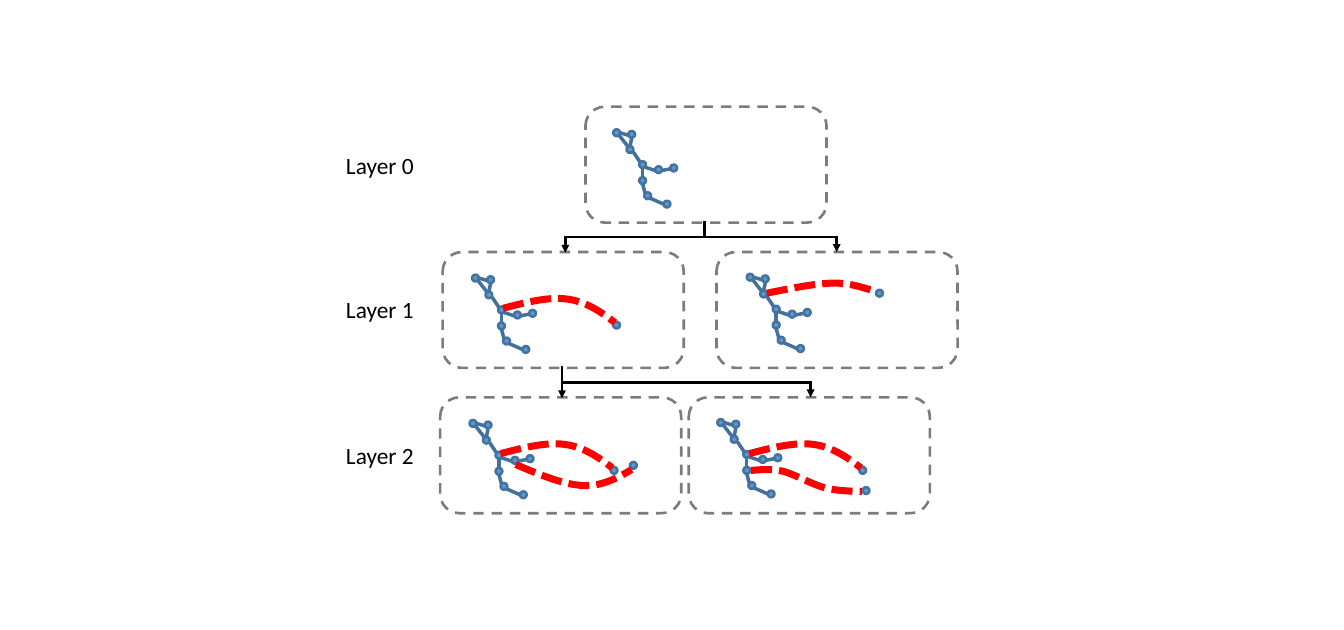
"""Draw a tree of skeleton graphs that grow by one dashed trail per layer."""
import dataclasses
import typing

import lxml.etree
import pptx
import pptx.dml.color
import pptx.dml.line
import pptx.enum.dml
import pptx.enum.shapes
import pptx.enum.text
import pptx.oxml.ns
import pptx.shapes.autoshape
import pptx.shapes.shapetree
import pptx.util

Point = tuple[int, int]
Shapes = typing.Union[pptx.shapes.shapetree.SlideShapes, pptx.shapes.shapetree.GroupShapes]

PX = pptx.util.Inches(1) // 100
SLIDE_SIZE = (1600, 750)
FRAME_SIZE = (287, 138)
LABEL_SIZE = (102, 44)
LABEL_LEFT = 402
NODE_SIZE = 8

BLACK, RED, GRAY = "000000", "FF0000", "7C7C7C"
NODE_FILL, NODE_EDGE, BONE = "5B9BD5", "43739E", "41719C"
DASH = pptx.enum.dml.MSO_LINE.DASH
SHORT_DASH = pptx.enum.dml.MSO_LINE.SQUARE_DOT

LABEL_FONT = {"name": "Calibri", "size": pptx.util.Pt(20)}
LABEL_FRAME = {
    "word_wrap": False,
    "auto_size": pptx.enum.text.MSO_AUTO_SIZE.SHAPE_TO_FIT_TEXT,
}

JOINTS = [(0, 0), (18, 2), (16, 20), (31, 38), (50, 44), (68, 42), (31, 57), (37, 75), (60, 85)]
BONES = [
    ((8, 4), (18, 7)), ((7, 7), (18, 21)), ((22, 11), (20, 20)),
    ((24, 27), (32, 39)), ((38, 45), (50, 49)), ((58, 49), (68, 47)),
    ((35, 47), (35, 57)), ((35, 65), (38, 76)), ((44, 82), (60, 89)),
]


@dataclasses.dataclass(frozen=True)
class Trail:
    """A Bezier trail: a start, then two controls and an anchor per piece, and its end node."""
    start: Point
    pieces: list[tuple[Point, Point, Point]]
    node: Point


@dataclasses.dataclass(frozen=True)
class Scene:
    """A dashed frame with a skeleton and the trails that leave it."""
    frame: Point
    skeleton: Point
    trails: list[Trail]


@dataclasses.dataclass(frozen=True)
class Link:
    """A straight piece of the tree between layers."""
    begin: Point
    end: Point
    arrow: bool = False


def arch(x: int, y: int) -> Trail:
    """Return the arched trail that starts at a point."""
    return Trail((x, y), [
        ((x + 27, y - 7), (x + 54, y - 14), (x + 76, y - 11)),
        ((x + 99, y - 8), (x + 116, y + 4), (x + 133, y + 17)),
    ], (x + 131, y + 16))


SCENES = [
    Scene((697, 127), (730, 154), []),
    Scene((527, 300), (562, 327), [arch(599, 367)]),
    Scene((853, 300), (889, 326), [Trail((913, 349), [
        ((943, 343), (972, 337), (994, 337)),
        ((1015, 337), (1035, 345), (1043, 347)),
    ], (1043, 345))]),
    Scene((524, 473), (559, 500), [arch(596, 540), Trail((614, 553), [
        ((642, 565), (671, 577), (694, 578)),
        ((717, 579), (735, 569), (752, 559)),
    ], (750, 550))]),
    Scene((820, 473), (854, 499), [arch(892, 540), Trail((894, 560), [
        ((906, 559), (918, 558), (932, 561)),
        ((947, 565), (967, 577), (983, 581)),
        ((998, 585), (1026, 585), (1026, 585)),
    ], (1027, 580))]),
]

LINKS = [
    Link((839, 263), (839, 282)),
    Link((671, 282), (997, 282)),
    Link((673, 282), (673, 301), arrow=True),
    Link((996, 281), (996, 300), arrow=True),
    Link((669, 436), (669, 456)),
    Link((668, 455), (967, 455)),
    Link((669, 456), (669, 474), arrow=True),
    Link((965, 455), (965, 473), arrow=True),
]

LABELS = {"Layer 0": 175, "Layer 1": 347, "Layer 2": 520}


def emu(*lengths: int) -> list[int]:
    """Turn px into EMU."""
    return [length * PX for length in lengths]


def rgb(value: str) -> pptx.dml.color.RGBColor:
    """Turn a hex string into a colour."""
    return pptx.dml.color.RGBColor.from_string(value)


def style_line(line: pptx.dml.line.LineFormat, color: str, width: float,
               dash: typing.Any = None) -> None:
    """Set the colour, width and dash of a line."""
    line.color.rgb = rgb(color)
    for name, value in {"width": pptx.util.Pt(width), "dash_style": dash}.items():
        setattr(line, name, value)


def draw_line(shapes: Shapes, link: Link, color: str, width: float) -> None:
    """Draw a straight line, with an arrowhead if asked."""
    connector = shapes.add_connector(
        pptx.enum.shapes.MSO_CONNECTOR.STRAIGHT, *emu(*link.begin, *link.end))
    style_line(connector.line, color, width)
    if link.arrow:
        lxml.etree.SubElement(
            connector.line._get_or_add_ln(), pptx.oxml.ns.qn("a:tailEnd"), type="triangle")
    lxml.etree.SubElement(connector._element.spPr, pptx.oxml.ns.qn("a:effectLst"))


def draw_node(shapes: Shapes, corner: Point) -> None:
    """Draw one round node."""
    node = shapes.add_shape(
        pptx.enum.shapes.MSO_SHAPE.OVAL, *emu(*corner, NODE_SIZE, NODE_SIZE))
    node.shadow.inherit = False
    node.fill.solid()
    node.fill.fore_color.rgb = rgb(NODE_FILL)
    style_line(node.line, NODE_EDGE, 2.25)


def draw_skeleton(shapes: Shapes, origin: Point) -> None:
    """Draw the joints and bones as one group."""
    def place(offset: Point) -> Point:
        return origin[0] + offset[0], origin[1] + offset[1]

    skeleton = shapes.add_group_shape()
    for joint in JOINTS:
        draw_node(skeleton.shapes, place(joint))
    for begin, end in BONES:
        draw_line(skeleton.shapes, Link(place(begin), place(end)), BONE, 3)


def draw_trail(shapes: Shapes, trail: Trail) -> None:
    """Draw the end node and the dashed curve through the anchors."""
    draw_node(shapes, trail.node)
    anchors = [piece[-1] for piece in trail.pieces]
    builder = shapes.build_freeform(*trail.start, scale=float(PX))
    builder.add_line_segments(anchors, close=False)
    curve = builder.convert_to_shape()
    left, top = (min(axis) for axis in zip(trail.start, *anchors))
    segments = list(curve._element.iter(pptx.oxml.ns.qn("a:lnTo")))
    for segment, piece in zip(segments, trail.pieces):
        bezier = lxml.etree.SubElement(segment.getparent(), pptx.oxml.ns.qn("a:cubicBezTo"))
        for x, y in piece:
            lxml.etree.SubElement(
                bezier, pptx.oxml.ns.qn("a:pt"), x=str(x - left), y=str(y - top))
        segment.getparent().remove(segment)
    curve.shadow.inherit = False
    curve.fill.background()
    style_line(curve.line, RED, 6, SHORT_DASH)


def draw_scene(shapes: Shapes, scene: Scene) -> None:
    """Draw a skeleton, its trails and the frame around them."""
    draw_skeleton(shapes, scene.skeleton)
    for trail in scene.trails:
        draw_trail(shapes, trail)
    frame = shapes.add_shape(
        pptx.enum.shapes.MSO_SHAPE.ROUNDED_RECTANGLE, *emu(*scene.frame, *FRAME_SIZE))
    frame.shadow.inherit = False
    frame.fill.background()
    style_line(frame.line, GRAY, 2.25, DASH)


def draw_label(shapes: Shapes, text: str, top: int) -> None:
    """Write the name of a layer."""
    label = shapes.add_textbox(*emu(LABEL_LEFT, top, *LABEL_SIZE)).text_frame
    run = label.paragraphs[0].add_run()
    run.text = text
    run.font.color.rgb = rgb(BLACK)
    for target, values in ((label, LABEL_FRAME), (run.font, LABEL_FONT)):
        for name, value in values.items():
            setattr(target, name, value)


def main() -> None:
    """Build and save the slide."""
    deck = pptx.Presentation()
    deck.slide_width, deck.slide_height = emu(*SLIDE_SIZE)
    shapes = deck.slides.add_slide(deck.slide_layouts[6]).shapes
    for scene in SCENES:
        draw_scene(shapes, scene)
    for text, top in LABELS.items():
        draw_label(shapes, text, top)
    for link in LINKS:
        draw_line(shapes, link, BLACK, 2.25)
    deck.save("out.pptx")


if __name__ == "__main__":
    main()
